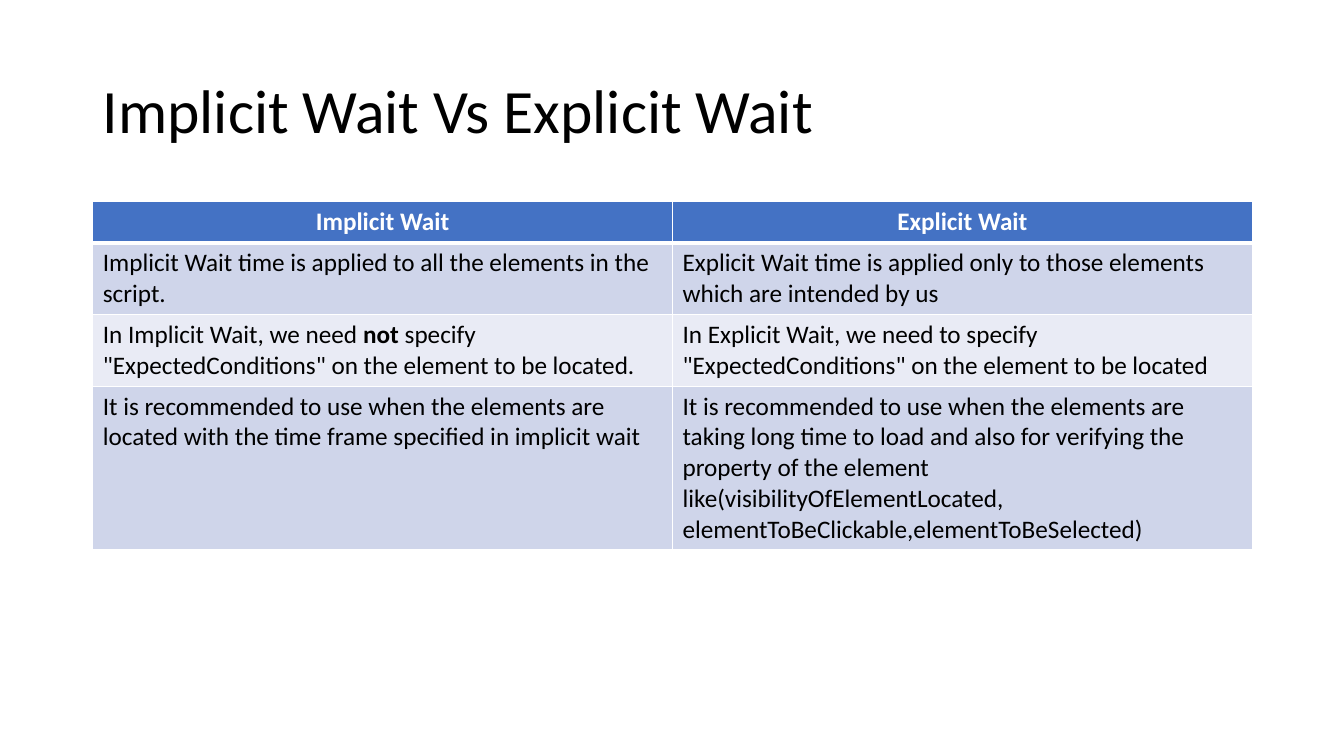
from dataclasses import dataclass

from lxml.etree import SubElement
from pptx import Presentation
from pptx.dml.color import RGBColor
from pptx.enum.text import MSO_ANCHOR, PP_ALIGN
from pptx.oxml.ns import qn
from pptx.util import Inches, Pt


@dataclass(frozen=True)
class Theme:
    font: str = "Calibri"
    title_size: int = 44
    table_size: int = 18
    text: str = "000000"
    white: str = "FFFFFF"
    header: str = "4472C4"
    bands: tuple = ("CFD5EA", "E9EBF5")
    thin_line: int = 1
    header_line: int = 3


THEME = Theme()
LEFT, WIDTH = 0.92, 11.5
ROW_HEIGHTS = (0.41, 0.7, 0.7, 1.6)

# Words between asterisks are bold
COMPARISON = (
    ("Implicit Wait", "Explicit Wait"),
    ("Implicit Wait time is applied to all the elements in the script.",
     "Explicit Wait time is applied only to those elements which are intended by us"),
    ('In Implicit Wait, we need *not* specify "ExpectedConditions" on the element to be located.',
     'In Explicit Wait, we need to specify "ExpectedConditions" on the element to be located'),
    ("It is recommended to use when the elements are located with the time frame "
     "specified in implicit wait",
     "It is recommended to use when the elements are taking long time to load and also "
     "for verifying the property of the element like(visibilityOfElementLocated, "
     "elementToBeClickable,elementToBeSelected)"),
)


def format_span(span, size, color, bold=False):
    span.font.name = THEME.font
    span.font.size = Pt(size)
    span.font.bold = bold
    span.font.color.rgb = RGBColor.from_string(color)


def add_title(page, text):
    title = page.shapes.title
    title.left, title.top = Inches(LEFT), Inches(0.4)
    title.width, title.height = Inches(WIDTH), Inches(1.45)
    frame = title.text_frame
    frame.text = text
    frame.word_wrap = True
    frame.vertical_anchor = MSO_ANCHOR.MIDDLE
    para = frame.paragraphs[0]
    para.alignment = PP_ALIGN.LEFT
    para.line_spacing = 0.9
    format_span(para.runs[0], THEME.title_size, THEME.text)


def set_borders(cell, top, bottom):
    """Draw white borders; the XML needs them ahead of the cell's fill."""
    properties = cell._tc.get_or_add_tcPr()
    widths = {"lnL": THEME.thin_line, "lnR": THEME.thin_line, "lnT": top, "lnB": bottom}
    for index, (side, width) in enumerate(widths.items()):
        line = SubElement(properties, qn(f"a:{side}"), w=str(Pt(width)))
        fill = SubElement(line, qn("a:solidFill"))
        SubElement(fill, qn("a:srgbClr"), val=THEME.white)
        properties.insert(index, line)


def fill_cell(cell, text, row):
    is_header = row == 0
    para = cell.text_frame.paragraphs[0]
    para.alignment = PP_ALIGN.CENTER if is_header else PP_ALIGN.LEFT
    color = THEME.white if is_header else THEME.text
    for index, part in enumerate(text.split("*")):
        span = para.add_run()
        span.text = part
        format_span(span, THEME.table_size, color, is_header or index % 2 == 1)

    cell.fill.solid()
    band = THEME.header if is_header else THEME.bands[(row - 1) % 2]
    cell.fill.fore_color.rgb = RGBColor.from_string(band)
    set_borders(cell,
                top=THEME.header_line if row == 1 else THEME.thin_line,
                bottom=THEME.header_line if is_header else THEME.thin_line)


def add_comparison(page, rows):
    table = page.shapes.add_table(
        len(rows), len(rows[0]), Inches(LEFT), Inches(2),
        Inches(WIDTH), Inches(sum(ROW_HEIGHTS))).table
    for row, texts in enumerate(rows):
        table.rows[row].height = Inches(ROW_HEIGHTS[row])
        for column, text in enumerate(texts):
            fill_cell(table.cell(row, column), text, row)


def main():
    deck = Presentation()
    deck.slide_width, deck.slide_height = Inches(13.33), Inches(7.5)
    page = deck.slides.add_slide(deck.slide_layouts[5])  # title only
    add_title(page, "Implicit Wait Vs Explicit Wait")
    add_comparison(page, COMPARISON)
    deck.save("out.pptx")


if __name__ == "__main__":
    main()
